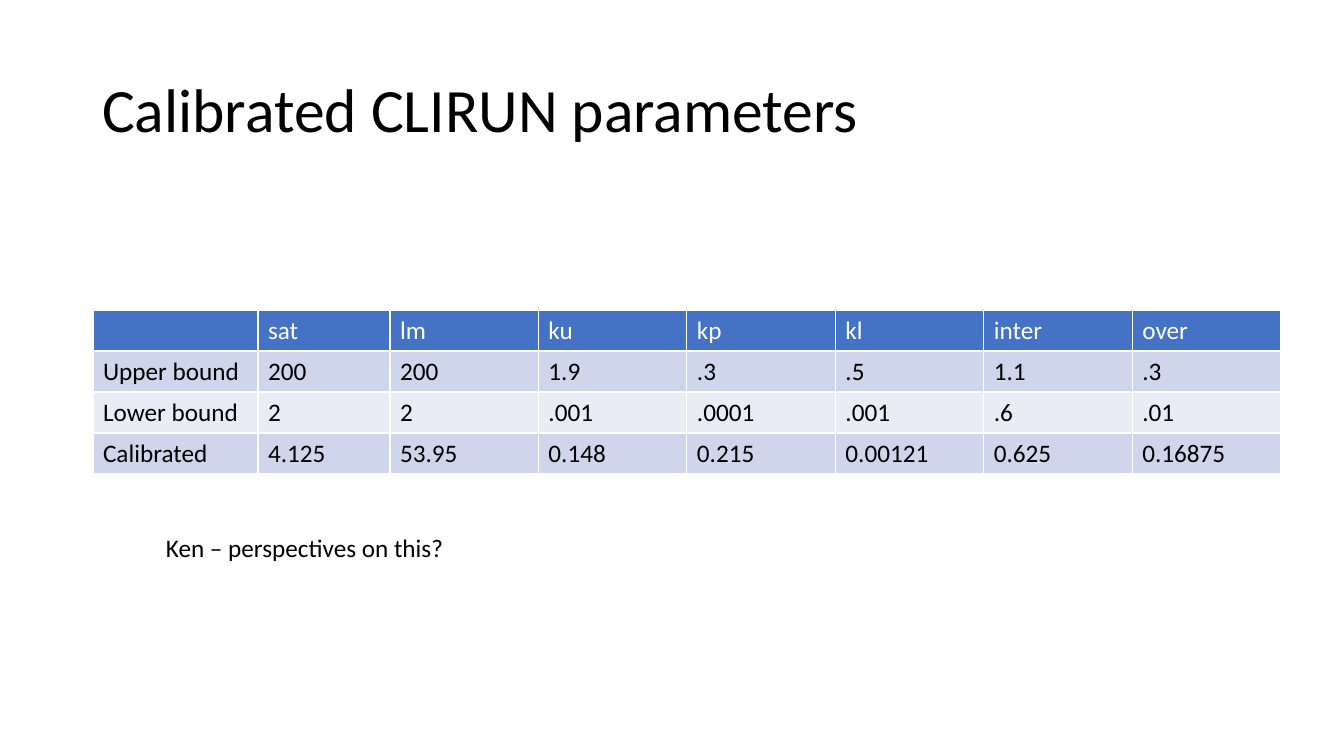
from dataclasses import dataclass

import pptx
import pptx.dml.color
import pptx.enum.text
import pptx.util

TITLE = "Calibrated CLIRUN parameters"
NOTE = "Ken – perspectives on this?"
PARAMETERS = [
    ("", "sat", "lm", "ku", "kp", "kl", "inter", "over"),
    ("Upper bound", "200", "200", "1.9", ".3", ".5", "1.1", ".3"),
    ("Lower bound", "2", "2", ".001", ".0001", ".001", ".6", ".01"),
    ("Calibrated", "4.125", "53.95", "0.148", "0.215", "0.00121", "0.625", "0.16875"),
]

# Lengths in px: left, top, width, height
SLIDE_SIZE = (1344, 756)
TITLE_BOX = (92, 40, 1159, 146)
TABLE_BOX = (93, 310, 1188, 164)
NOTE_BOX = (156, 527, 772, 40)
FIRST_COLUMNS = (165, 132)
EMU_PER_PX = 914400 / 100.8


@dataclass(frozen=True)
class Theme:
    font: str = "Calibri"
    title_size: int = 44
    body_size: int = 18
    text: str = "000000"
    header_text: str = "FFFFFF"
    header_fill: str = "4472C4"
    band_fills: tuple = ("CFD5EA", "E9EBF5")


THEME = Theme()


def px(length):
    return pptx.util.Emu(round(length * EMU_PER_PX))


def rgb(color):
    return pptx.dml.color.RGBColor.from_string(color)


def write(text_frame, text, size, color):
    text_frame.text = text
    paragraph = text_frame.paragraphs[0]
    paragraph.alignment = pptx.enum.text.PP_ALIGN.LEFT
    for item in (paragraph, *paragraph.runs):
        item.font.name = THEME.font
        item.font.size = pptx.util.Pt(size)
        item.font.bold = False
        item.font.color.rgb = rgb(color)
    return paragraph


def add_title(slide):
    title = slide.shapes.title
    title.left, title.top, title.width, title.height = map(px, TITLE_BOX)
    title.text_frame.vertical_anchor = pptx.enum.text.MSO_ANCHOR.MIDDLE
    paragraph = write(title.text_frame, TITLE, THEME.title_size, THEME.text)
    paragraph.line_spacing = 0.9


def add_parameter_table(slide):
    row_count, column_count = len(PARAMETERS), len(PARAMETERS[0])
    table = slide.shapes.add_table(row_count, column_count, *map(px, TABLE_BOX)).table

    equal_count = column_count - len(FIRST_COLUMNS)
    equal_width = (TABLE_BOX[2] - sum(FIRST_COLUMNS)) / equal_count
    widths = [*FIRST_COLUMNS, *[equal_width] * equal_count]
    for column, width in zip(table.columns, widths):
        column.width = px(width)

    for row_index, values in enumerate(PARAMETERS):
        if row_index == 0:
            fill, color = THEME.header_fill, THEME.header_text
        else:
            fill, color = THEME.band_fills[(row_index - 1) % 2], THEME.text
        for column_index, value in enumerate(values):
            cell = table.cell(row_index, column_index)
            cell.fill.solid()
            cell.fill.fore_color.rgb = rgb(fill)
            write(cell.text_frame, value, THEME.body_size, color)


def add_note(slide):
    text_frame = slide.shapes.add_textbox(*map(px, NOTE_BOX)).text_frame
    text_frame.word_wrap = True
    text_frame.auto_size = pptx.enum.text.MSO_AUTO_SIZE.SHAPE_TO_FIT_TEXT
    write(text_frame, NOTE, THEME.body_size, THEME.text)


def main():
    presentation = pptx.Presentation()
    presentation.slide_width, presentation.slide_height = map(px, SLIDE_SIZE)
    slide = presentation.slides.add_slide(presentation.slide_layouts[5])
    add_title(slide)
    add_parameter_table(slide)
    add_note(slide)
    presentation.save("out.pptx")


if __name__ == "__main__":
    main()
